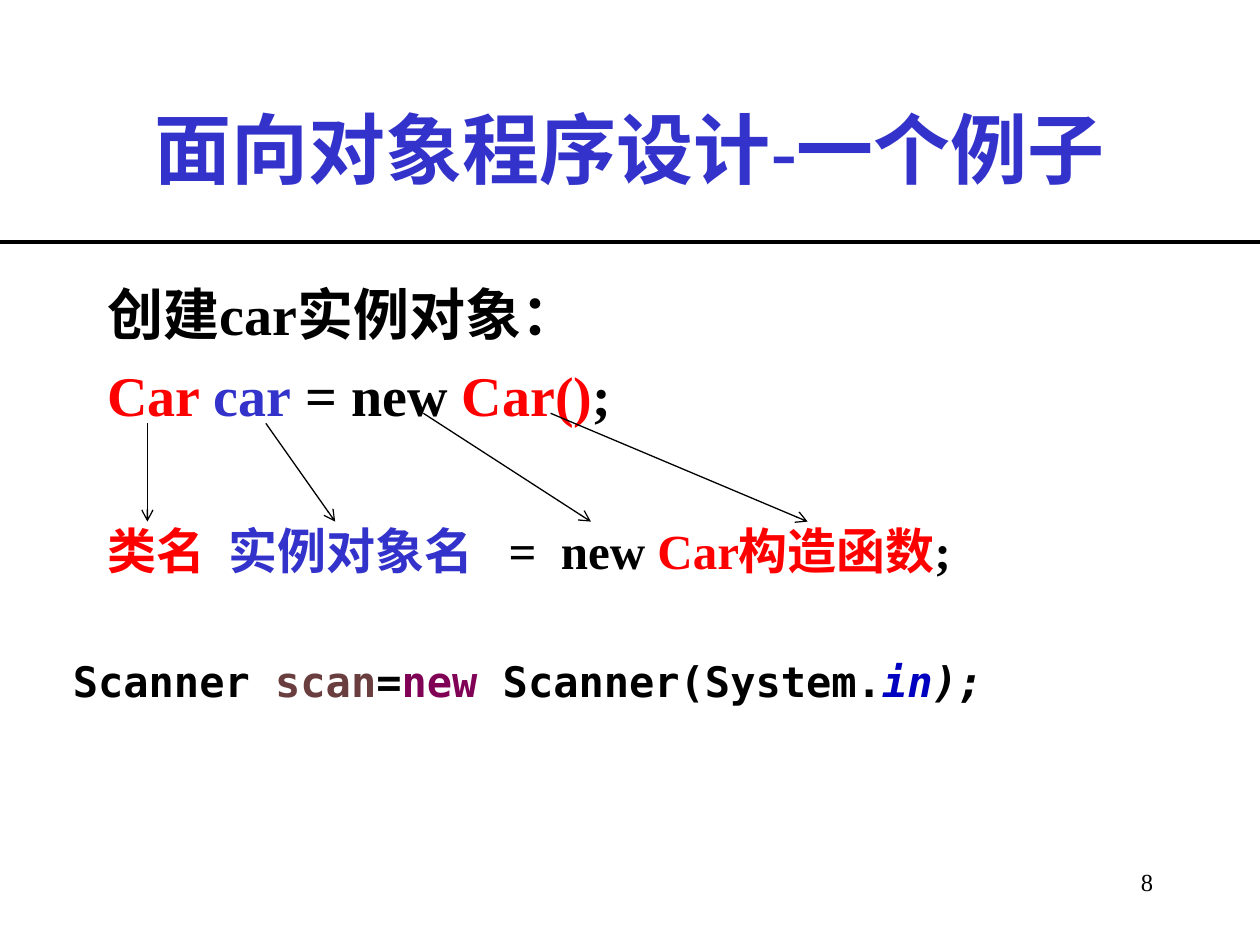
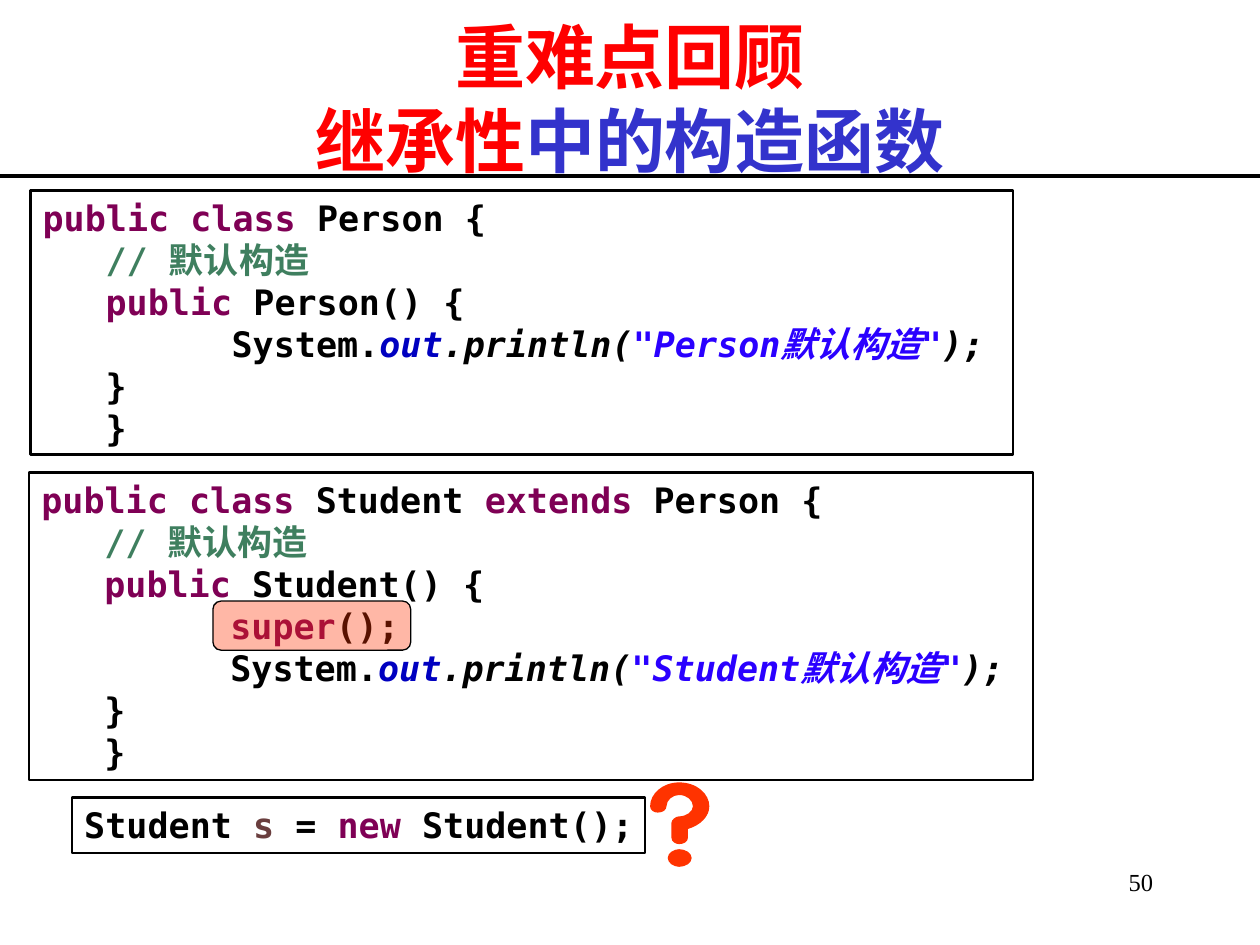
from copy import deepcopy

from lxml import etree
from pptx import Presentation
from pptx.dml.color import RGBColor
from pptx.enum.shapes import MSO_CONNECTOR, MSO_SHAPE
from pptx.enum.text import MSO_ANCHOR, MSO_AUTO_SIZE, PP_ALIGN
from pptx.oxml.ns import qn
from pptx.util import Inches, Pt

STRAIGHT = MSO_CONNECTOR.STRAIGHT
RECTANGLE, ROUNDED = MSO_SHAPE.RECTANGLE, MSO_SHAPE.ROUNDED_RECTANGLE
LEFT, CENTER, RIGHT = PP_ALIGN.LEFT, PP_ALIGN.CENTER, PP_ALIGN.RIGHT
TOP, MIDDLE = MSO_ANCHOR.TOP, MSO_ANCHOR.MIDDLE
SERIF, MONO = "Times New Roman", "DejaVu Sans Mono"
TITLE_AND_BODY, TITLE_ONLY = 1, 5

COLORS = {
    "black": "000000", "blue": "3333CC", "red": "FF0000", "orange": "FF3300",
    "keyword": "7F0055", "comment": "3F7F5F", "variable": "6A3E3E",
    "field": "0000C0", "string": "2A00FF",
}

# ---- Content: a paragraph is (options, runs) ----
# A run is (text, colour[, italic[, extra character spacing in points]])
EXAMPLE_TITLE = [({}, [("面向对象程序设计-一个例子", "blue")])]
EXAMPLE_BODY = [
    ({}, [("创建car实例对象：", "black")]),
    ({"before": 8}, [("Car ", "red"), ("car", "blue"), (" = new ", "black"),
                     ("Car()", "red"), (";", "black")]),
    ({"before": 53, "size": 28},
     [("类名", "red"), (" ", "red", False, 7), ("实例对象名", "blue"),
      (" ", "blue", False, 14), ("=", "black"), (" ", "black", False, 7),
      ("new ", "black"), ("Car构造函数", "red"), (";", "black")]),
]
SCANNER_CODE = [({}, [("Scanner ", "black"), ("scan", "variable"), ("=", "black"),
                      ("new", "keyword"), (" Scanner(System.", "black"),
                      ("in", "field", True), (");", "black", True)])]
EXAMPLE_ARROWS = [  # x1, y1, x2, y2
    (1.17, 3.36, 1.17, 4.14), (2.11, 3.36, 2.66, 4.14),
    (3.36, 3.28, 4.69, 4.14), (4.37, 3.28, 6.41, 4.14),
]

REVIEW_TITLE = [({}, [("重难点回顾\n继承性", "red"), ("中的构造函数", "blue")])]
INDENTED = {"indent": 0.5}
SUPER_CALL = (INDENTED, [("\t", "black"), ("super", "keyword"), ("();", "black")])


def class_code(name, heading, body=()):
    """Paragraphs of a class whose default constructor prints a message."""
    return [
        ({}, [("public class", "keyword"), *heading]),
        (INDENTED, [("// 默认构造", "comment")]),
        (INDENTED, [("public", "keyword"), (f" {name}() {{", "black")]),
        *body,
        (INDENTED, [("\tSystem.", "black"), ("out", "field", True),
                    (".println(", "black", True),
                    (f'"{name}默认构造"', "string", True), (");", "black", True)]),
        (INDENTED, [("}", "black")]),
        (INDENTED, [("}", "black")]),
    ]


CODE_BOXES = [  # position, paragraphs
    ((0.24, 1.51, 7.8, 2.1), class_code("Person", [(" Person {", "black")])),
    ((0.23, 3.75, 7.97, 2.44),
     class_code("Student", [(" Student ", "black"), ("extends", "keyword"),
                            (" Person {", "black")], [SUPER_CALL])),
    ((0.57, 6.33, 4.55, 0.44),
     [({}, [("Student ", "black"), ("s", "variable"), (" = ", "black"),
            ("new", "keyword"), (" Student();", "black")])]),
]
SUPER_HIGHLIGHT = (1.69, 4.77, 1.57, 0.39)

# Contours: start point, then lines (one point) and cubic curves (three points)
QUESTION_MARK = [
    [(5.39, 6.74), (5.44, 6.74, 5.49, 6.77, 5.49, 6.81),
     (5.49, 6.85, 5.44, 6.88, 5.39, 6.88), (5.35, 6.88, 5.3, 6.85, 5.3, 6.81),
     (5.3, 6.77, 5.35, 6.74, 5.39, 6.74)],
    [(5.39, 6.21), (5.53, 6.21, 5.63, 6.3, 5.63, 6.4),
     (5.63, 6.48, 5.56, 6.55, 5.46, 6.58), (5.46, 6.65),
     (5.46, 6.68, 5.43, 6.7, 5.39, 6.7), (5.36, 6.7, 5.33, 6.68, 5.33, 6.65),
     (5.33, 6.53), (5.33, 6.51, 5.36, 6.48, 5.39, 6.48),
     (5.45, 6.48, 5.5, 6.44, 5.5, 6.4), (5.5, 6.35, 5.45, 6.31, 5.39, 6.31),
     (5.34, 6.31, 5.29, 6.35, 5.29, 6.4), (5.29, 6.43, 5.26, 6.45, 5.22, 6.45),
     (5.19, 6.45, 5.16, 6.43, 5.16, 6.4), (5.16, 6.3, 5.26, 6.21, 5.39, 6.21)],
]


# ---- Helpers ----
def rgb(name):
    return RGBColor.from_string(COLORS[name])


def inches(values):
    return [Inches(value) for value in values]


def format_run(run, color, italic=False, spacing=0, size=20, font=MONO, bold=True):
    run.font.name, run.font.size = font, Pt(size)
    run.font.bold, run.font.italic = bold, italic
    run.font.color.rgb = rgb(color)
    if spacing:
        run._r.get_or_add_rPr().set("spc", str(spacing * 100))


def write_text(shape, paragraphs, size=20, font=MONO, bold=True, align=LEFT,
               anchor=TOP, wrap=False):
    frame = shape.text_frame
    frame.word_wrap, frame.auto_size = wrap, MSO_AUTO_SIZE.NONE
    frame.vertical_anchor = anchor
    for index, (options, runs) in enumerate(paragraphs):
        paragraph = frame.add_paragraph() if index else frame.paragraphs[0]
        properties = paragraph._p.get_or_add_pPr()
        properties.set("marL", str(Inches(options.get("indent", 0))))
        properties.set("indent", "0")
        properties.set("defTabSz", str(Inches(1)))
        etree.SubElement(properties, qn("a:buNone"))
        paragraph.alignment = align
        paragraph.space_before = Pt(options.get("before", 0))
        for text, *look in runs:
            for line_number, line in enumerate(text.split("\n")):
                if line_number:
                    paragraph.add_line_break()
                    paragraph._p[-1].append(deepcopy(run._r.rPr))
                run = paragraph.add_run()
                run.text = line
                format_run(run, *look, size=options.get("size", size), font=font,
                           bold=bold)


def place(shape, position):
    shape.left, shape.top, shape.width, shape.height = inches(position)


def add_line(slide, ends, width, arrow=False):
    connector = slide.shapes.add_connector(STRAIGHT, *inches(ends))
    connector.line.color.rgb = rgb("black")
    connector.line.width = Pt(width)
    if arrow:
        etree.SubElement(connector.line._get_or_add_ln(), qn("a:tailEnd"), type="arrow")
    etree.SubElement(connector._element.spPr, qn("a:effectLst"))


def add_box(slide, kind, position, width):
    shape = slide.shapes.add_shape(kind, *inches(position))
    shape.shadow.inherit = False
    shape.fill.background()
    shape.line.color.rgb = rgb("black")
    shape.line.width = Pt(width)
    return shape


def add_slide(presentation, layout, number, title, position, size, rule_y):
    """Start a slide with its number, title and the rule under the title."""
    slide = presentation.slides.add_slide(presentation.slide_layouts[layout])
    number_box = slide.shapes.add_textbox(*inches((8.17, 6.83, 1.08, 0.5)))
    write_text(number_box, [({}, [(str(number), "black")])], size=14, font=SERIF,
               bold=False, align=RIGHT, wrap=True)
    place(slide.shapes.title, position)
    write_text(slide.shapes.title, title, size=size, font=SERIF, align=CENTER,
               anchor=MIDDLE, wrap=True)
    add_line(slide, (0, rule_y, 10, rule_y), 2.25)
    return slide


def contour_points(contour):
    """All points of a contour, control points included, in EMU."""
    return [inches(segment[start:start + 2]) for segment in contour
            for start in range(0, len(segment), 2)]


def bend_curves(shape, contours):
    """Join each three lines that stand for a cubic curve into that curve."""
    lines = iter(shape._element.findall(".//" + qn("a:lnTo")))
    for contour in contours:
        for segment in contour[1:]:
            first = next(lines)
            if len(segment) == 6:
                first.tag = qn("a:cubicBezTo")
                for line in (next(lines), next(lines)):
                    first.append(line[0])
                    line.getparent().remove(line)


def add_question_mark(slide):
    dot, hook = map(contour_points, QUESTION_MARK)
    builder = slide.shapes.build_freeform(*dot[0])
    builder.add_line_segments(dot[1:], close=True)
    builder.move_to(*hook[0])
    builder.add_line_segments(hook[1:], close=True)
    shape = builder.convert_to_shape()
    bend_curves(shape, QUESTION_MARK)
    shape.shadow.inherit = False
    shape.fill.solid()
    shape.fill.fore_color.rgb = rgb("orange")
    shape.line.fill.background()


# ---- Slides ----
def build_example(presentation):
    slide = add_slide(presentation, TITLE_AND_BODY, 8, EXAMPLE_TITLE,
                      (0, 0.42, 10, 1.5), 44, 1.92)
    body = slide.placeholders[1]
    place(body, (0.75, 2.17, 9.25, 4.5))
    write_text(body, EXAMPLE_BODY, size=32, font=SERIF, wrap=True)
    for ends in EXAMPLE_ARROWS:
        add_line(slide, ends, 0.75, arrow=True)
    scanner_box = slide.shapes.add_textbox(*inches((0.48, 5.15, 7.42, 0.5)))
    write_text(scanner_box, SCANNER_CODE, size=24)


def build_review(presentation):
    slide = add_slide(presentation, TITLE_ONLY, 50, REVIEW_TITLE,
                      (0.75, 0.15, 8.5, 1.25), 40, 1.4)
    for position, code in CODE_BOXES:
        write_text(add_box(slide, RECTANGLE, position, 1.5), code)
    add_question_mark(slide)
    highlight = add_box(slide, ROUNDED, SUPER_HIGHLIGHT, 0.75)
    highlight.fill.solid()
    highlight.fill.fore_color.rgb = rgb("orange")
    fill_color = highlight._element.spPr.find(qn("a:solidFill"))[0]
    etree.SubElement(fill_color, qn("a:alpha"), val="35000")


def main():
    presentation = Presentation()
    presentation.slide_width, presentation.slide_height = Inches(10), Inches(7.5)
    build_example(presentation)
    build_review(presentation)
    presentation.save("out.pptx")


if __name__ == "__main__":
    main()
